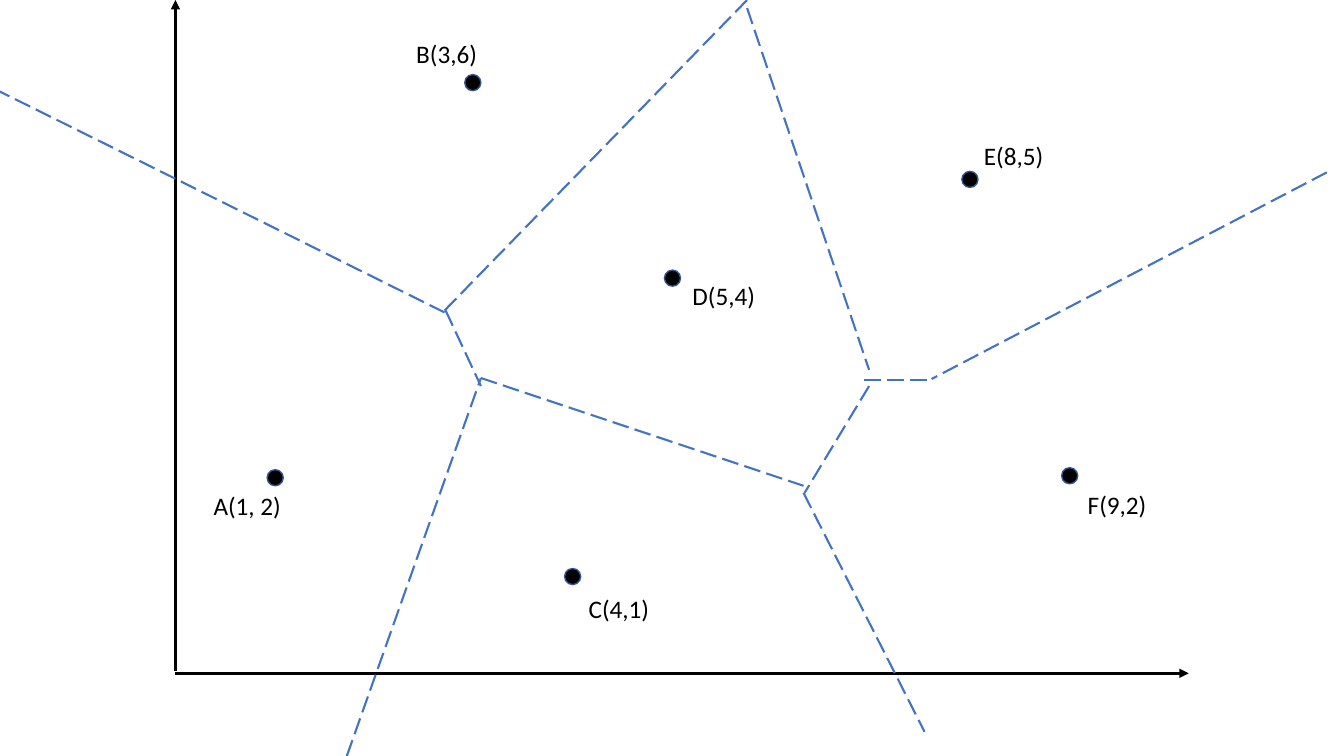
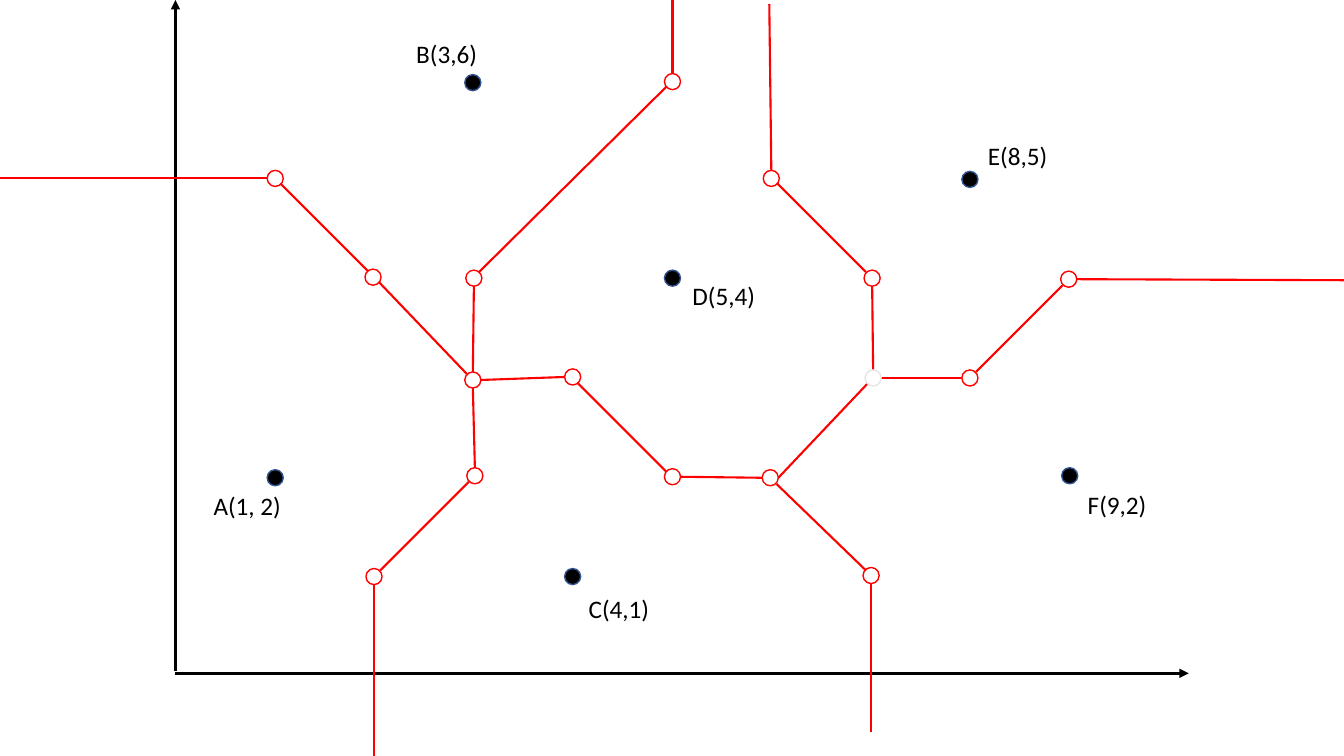
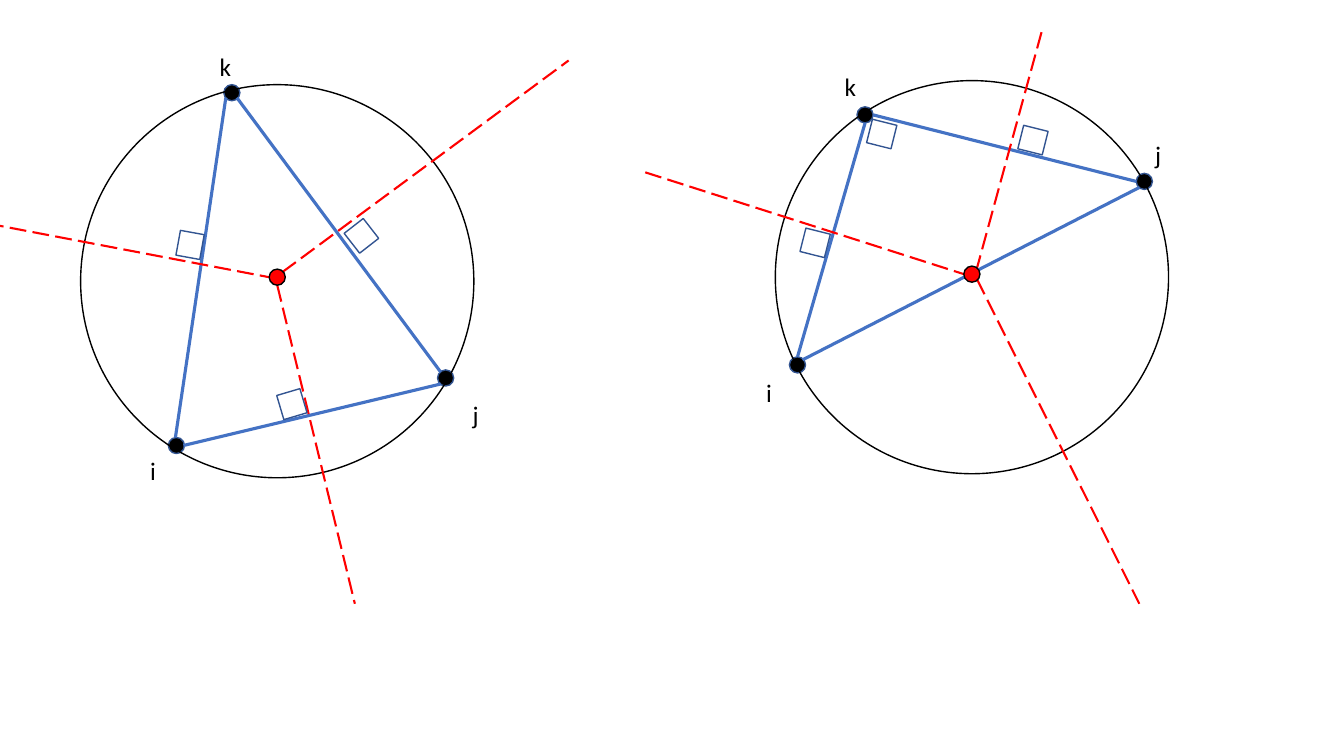
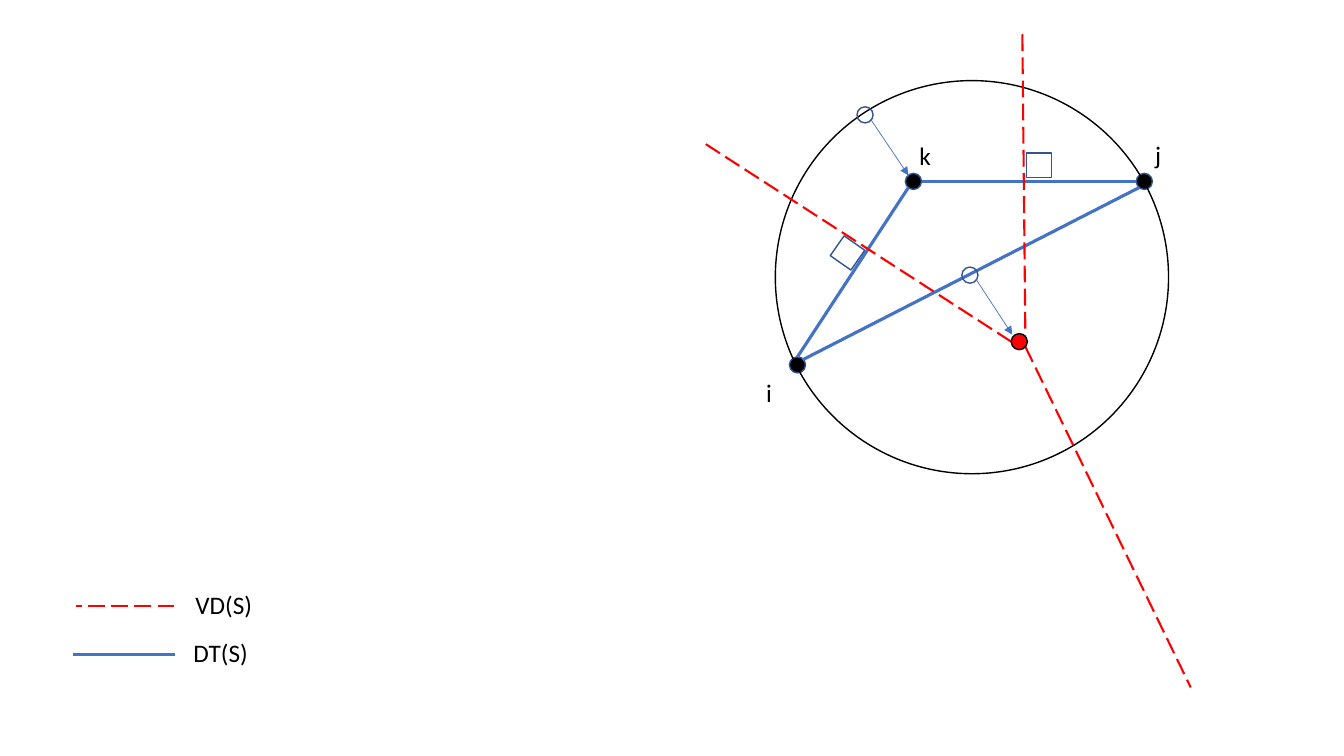
"""Build four slides on Voronoi diagrams, Manhattan bisectors and circumcircles."""
from pptx import Presentation
from pptx.dml.color import RGBColor
from pptx.enum.dml import MSO_LINE
from pptx.enum.shapes import MSO_CONNECTOR, MSO_SHAPE
from pptx.enum.text import MSO_AUTO_SIZE
from pptx.oxml.ns import qn
from pptx.oxml.xmlchemy import OxmlElement
from pptx.util import Inches, Pt

BLACK = RGBColor(0x00, 0x00, 0x00)
WHITE = RGBColor(0xFF, 0xFF, 0xFF)
BLUE = RGBColor(0x44, 0x72, 0xC4)
NAVY = RGBColor(0x32, 0x54, 0x91)
RED = RGBColor(0xFF, 0x00, 0x00)
PALE_GRAY = RGBColor(0xE7, 0xE6, 0xE6)
FONT = "Calibri"
DOT = 0.16
CIRCLE = 3.9


def draw_line(slide, ends, color, width, dashed=False, arrow=False):
    line = slide.shapes.add_connector(MSO_CONNECTOR.STRAIGHT, *map(Inches, ends))
    line.line.color.rgb = color
    line.line.width = Pt(width)
    if dashed:
        line.line.dash_style = MSO_LINE.LONG_DASH
    properties = line._element.spPr
    if arrow:
        tail = OxmlElement("a:tailEnd")
        tail.set("type", "triangle")
        properties.find(qn("a:ln")).append(tail)
    properties.append(OxmlElement("a:effectLst"))


def draw_outline(slide, corner, size, border, fill=None, preset=MSO_SHAPE.OVAL, rotation=0):
    outline = slide.shapes.add_shape(preset, *map(Inches, (*corner, *size)))
    outline.shadow.inherit = False
    outline.rotation = rotation
    outline.line.color.rgb = border
    outline.line.width = Pt(1)
    if fill is None:
        outline.fill.background()
    else:
        outline.fill.solid()
        outline.fill.fore_color.rgb = fill


deck = Presentation()
deck.slide_width = Inches(13.33)
deck.slide_height = Inches(7.5)
euclidean, manhattan, triangles, moved_vertex = [
    deck.slides.add_slide(deck.slide_layouts[6]) for _ in range(4)
]

axes = [(1.74, 6.66, 1.74, 0), (1.74, 6.68, 11.79, 6.68)]
sites = [(2.65, 4.66), (4.61, 0.74), (5.6, 5.64), (6.59, 2.68), (9.54, 1.7), (10.53, 4.64)]
site_labels = [
    ("A(1, 2)", 2.02, 4.82),
    ("B(3,6)", 4.03, 0.33),
    ("C(4,1)", 5.74, 5.84),
    ("D(5,4)", 6.77, 2.73),
    ("F(9,2)", 10.69, 4.81),
]
for plane in (euclidean, manhattan):
    for axis in axes:
        draw_line(plane, axis, BLACK, 2.25, arrow=True)
    for site in sites:
        draw_outline(plane, site, (DOT, DOT), NAVY, BLACK)

voronoi_edges = [
    (7.97, 4.89, 9.17, 7.26),
    (4.41, 3.08, 7.41, 0),
    (4.41, 3.1, -0.18, 0.82),
    (4.42, 3.08, 4.77, 3.83),
    (3.44, 7.5, 4.77, 3.75),
    (4.77, 3.75, 7.97, 4.82),
    (8.57, 3.77, 9.24, 3.77),
    (7.41, 0.08, 8.62, 3.67),
    (8.62, 3.83, 7.98, 4.89),
    (13.16, 1.71, 9.24, 3.76),
]
for edge in voronoi_edges:
    draw_line(euclidean, edge, BLUE, 1.5, dashed=True)

bisector_segments = [
    (4.69, 3.69, 4.7, 2.84),
    (2.78, 1.82, 3.65, 2.69),
    (2.65, 1.77, 0, 1.77),
    (4.75, 2.7, 6.61, 0.86),
    (6.67, 0.73, 6.67, -0.24),
    (3.77, 5.66, 4.65, 4.78),
    (3.71, 7.57, 3.71, 5.8),
    (4.71, 4.64, 4.69, 3.85),
    (6.61, 4.68, 5.73, 3.8),
    (7.56, 4.74, 6.75, 4.73),
    (5.6, 3.74, 4.77, 3.77),
    (8.59, 2.7, 7.71, 1.82),
    (7.63, 0.04, 7.65, 1.69),
    (8.65, 2.83, 8.66, 3.67),
    (7.7, 4.8, 8.59, 5.66),
    (8.64, 7.26, 8.64, 5.79),
    (9.68, 3.69, 10.54, 2.83),
    (13.33, 2.78, 10.68, 2.77),
    (9.54, 3.75, 8.74, 3.75),
    (7.72, 4.74, 8.6, 3.81),
    (3.76, 2.8, 4.63, 3.71),
]
bends = [
    (4.61, 3.69), (2.65, 1.69), (4.62, 2.68), (6.59, 0.73), (3.63, 5.64),
    (4.63, 4.64), (5.6, 3.66), (6.59, 4.65), (7.57, 1.69), (8.57, 2.68),
    (8.56, 5.63), (7.56, 4.66), (10.52, 2.69), (9.54, 3.67), (3.62, 2.67),
]
for segment in bisector_segments:
    draw_line(manhattan, segment, RED, 1.5)
for bend in bends:
    draw_outline(manhattan, bend, (DOT, DOT), RED, WHITE)
draw_outline(manhattan, (8.58, 3.67), (DOT, DOT), PALE_GRAY, WHITE)

shared_side = (11.3, 1.86, 7.96, 3.57)
vertex_i, vertex_j = (7.83, 3.54), (11.27, 1.72)
constructions = [
    {
        "slide": triangles,
        "circle": (0.8, 0.84),
        "vertices": [(4.34, 3.67), (1.67, 4.34), (2.22, 0.84)],
        "sides": [(1.74, 4.34, 2.24, 0.97), (4.37, 3.69, 2.35, 0.97), (4.37, 3.81, 1.82, 4.42)],
        "bisectors": [(2.8, 2.7, 5.64, 0.6), (2.75, 2.83, 3.52, 5.99), (-0.58, 2.13, 2.67, 2.75)],
        "right_angles": [(3.46, 2.22, 52.1), (2.77, 3.89, 73.5), (1.76, 2.31, 100.3)],
        "center": (2.67, 2.67),
    },
    {
        "slide": triangles,
        "circle": (7.69, 0.8),
        "vertices": [vertex_j, vertex_i, (8.5, 1.06)],
        "sides": [(7.91, 3.54, 8.58, 1.22), (11.27, 1.8, 8.66, 1.14), shared_side],
        "bisectors": [(6.4, 1.71, 9.56, 2.72), (10.33, 0.32, 9.69, 2.66), (9.69, 2.77, 11.3, 5.99)],
        "right_angles": [(8.62, 1.21, 14.1), (7.96, 2.29, 14.1), (10.12, 1.27, 14.1)],
        "center": (9.56, 2.64),
    },
    {
        "slide": moved_vertex,
        "circle": (7.69, 0.8),
        "vertices": [vertex_j, vertex_i, (8.98, 1.72)],
        "sides": [(7.91, 3.54, 9.01, 1.86), (11.27, 1.8, 9.14, 1.8), shared_side],
        "bisectors": [(7, 1.43, 10.03, 3.39), (10.14, 0.34, 10.17, 3.33), (10.17, 3.44, 11.81, 6.82)],
        "right_angles": [(8.28, 2.39, 34.9), (10.18, 1.52, 0)],
        "center": (10.03, 3.31),
    },
]
for construction in constructions:
    slide = construction["slide"]
    for vertex in construction["vertices"]:
        draw_outline(slide, vertex, (DOT, DOT), NAVY, BLACK)
    draw_outline(slide, construction["circle"], (CIRCLE, CIRCLE), BLACK)
    for side in construction["sides"]:
        draw_line(slide, side, BLUE, 2.25)
    for bisector in construction["bisectors"]:
        draw_line(slide, bisector, RED, 1.5, dashed=True)
    for left, top, angle in construction["right_angles"]:
        draw_outline(slide, (left, top), (0.25, 0.24), NAVY,
                     preset=MSO_SHAPE.RECTANGLE, rotation=angle)
    draw_outline(slide, construction["center"], (DOT, DOT), BLACK, RED)

for former_position in [(8.5, 1.06), (9.54, 2.65)]:
    draw_outline(moved_vertex, former_position, (DOT, DOT), NAVY)
for movement in [(8.64, 1.19, 9.01, 1.74), (9.68, 2.77, 10.04, 3.32)]:
    draw_line(moved_vertex, movement, BLUE, 0.5, arrow=True)
draw_line(moved_vertex, (1.73, 6.01, 0.75, 6.01), RED, 1.5, dashed=True)
draw_line(moved_vertex, (0.72, 6.49, 1.74, 6.49), BLUE, 2.25)

shared_vertex_labels = [("i", 7.5, 3.69), ("j", 11.36, 1.33)]
slide_labels = [
    (euclidean, site_labels + [("E(8,5)", 9.66, 1.34)]),
    (manhattan, site_labels + [("E(8,5)", 9.7, 1.34)]),
    (triangles, shared_vertex_labels + [
        ("k", 8.28, 0.66), ("i", 1.39, 4.47), ("j", 4.59, 3.91), ("k", 2.08, 0.46),
    ]),
    (moved_vertex, shared_vertex_labels + [
        ("k", 9.02, 1.34), ("VD(S)", 1.84, 5.8), ("DT(S)", 1.82, 6.27),
    ]),
]
for slide, labels in slide_labels:
    for wording, left, top in labels:
        label = slide.shapes.add_textbox(*map(Inches, (left, top, 0.94, 0.4))).text_frame
        label.word_wrap = True
        label.auto_size = MSO_AUTO_SIZE.SHAPE_TO_FIT_TEXT
        label.text = wording
        font = label.paragraphs[0].font
        font.name = FONT
        font.size = Pt(18)
        font.color.rgb = BLACK

deck.save("out.pptx")
